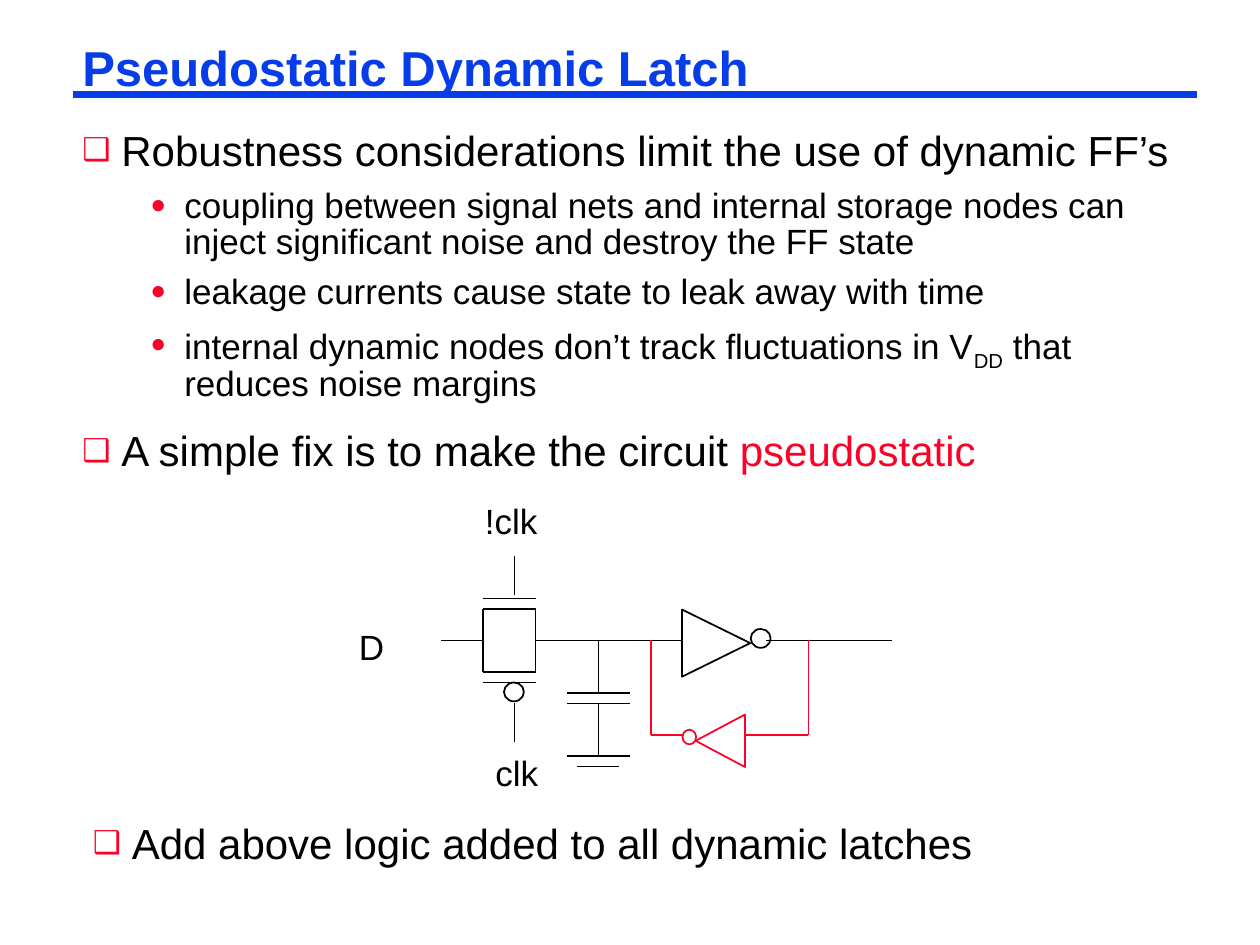
import pptx
import pptx.dml.color
import pptx.enum.shapes
import pptx.enum.text
import pptx.oxml
import pptx.oxml.ns
import pptx.util

BLUE = pptx.dml.color.RGBColor(0x06, 0x3D, 0xE8)
RED = pptx.dml.color.RGBColor(0xFC, 0x01, 0x28)
BLACK = pptx.dml.color.RGBColor(0, 0, 0)
GRID = pptx.util.Inches(1) / 12  # the slide is 120 columns by 90 rows


def cells(*counts):
    return [round(count * GRID) for count in counts]


def write(paragraph, text, size=20, color=BLACK, bold=False, baseline=0):
    run = paragraph.add_run()
    run.text = text
    run.font.name = "Arial"
    run.font.size = pptx.util.Pt(size)
    run.font.bold = bold
    run.font.color.rgb = color
    if baseline:
        run.font._element.set("baseline", str(baseline * 1000))


presentation = pptx.Presentation()
presentation.slide_width, presentation.slide_height = cells(120, 90)
slide = presentation.slides.add_slide(presentation.slide_layouts[6])

# Lines: start column and row, end column and row, colour, width
lines = [(7, 9, 114, 9, BLUE, 4.5)]  # rule under the title
lines += [(*ends, BLACK, 1) for ends in (
    # Transmission gate
    (55, 61, 51, 61), (46, 61, 42, 61),
    (51, 65, 46, 65), (51, 57, 46, 57),
    (46, 58, 46, 64), (51, 58, 51, 64),
    (51, 58, 46, 58), (51, 64, 46, 64),
    (49, 70.7, 49, 67), (49, 56.7, 49, 53),
    # Storage node, capacitor and ground
    (54, 61, 65, 61), (57, 61, 57, 66),
    (54, 66, 60, 66), (54, 67, 60, 67),
    (57, 67, 57, 72), (54, 72, 60, 72), (55, 73, 59, 73),
    # Output
    (73, 61, 85, 61),
)]
lines += [(*ends, RED, 1) for ends in (
    # Feedback loop
    (77, 61, 77, 70), (77, 70, 71, 70), (65, 70, 62, 70), (62, 70, 62, 61),
)]
for *ends, color, width in lines:
    connector = slide.shapes.add_connector(
        pptx.enum.shapes.MSO_CONNECTOR.STRAIGHT, *cells(*ends))
    connector.line.color.rgb = color
    connector.line.width = pptx.util.Pt(width)
    connector._element.spPr.append(pptx.oxml.parse_xml(
        f'<a:effectLst {pptx.oxml.ns.nsdecls("a")}/>'))

# Inverters and the bubble of the lower gate
TRIANGLE = pptx.enum.shapes.MSO_SHAPE.ISOSCELES_TRIANGLE
OVAL = pptx.enum.shapes.MSO_SHAPE.OVAL
for kind, position, rotation, color in (
    (OVAL, (48, 65, 1.9, 1.8), 0, BLACK),
    (TRIANGLE, (65, 58, 6.4, 6.5), 90, BLACK),
    (OVAL, (71.5, 59.9, 1.9, 1.8), 0, BLACK),
    (TRIANGLE, (66.1, 68.2, 5, 4.7), 270, RED),
    (OVAL, (65, 69.5, 1.3, 1.4), 0, RED),
):
    shape = slide.shapes.add_shape(kind, *cells(*position))
    shape.rotation = rotation
    shape.shadow.inherit = False
    shape.fill.background()
    shape.line.color.rgb = color
    shape.line.width = pptx.util.Pt(1)

# Paragraph styles: level, indent in inches, bullet, line spacing, space before
STYLES = {
    "title": (0, 0, None, 0.87, 0),
    "label": (0, 0, None, 1, 0),
    "main": (0, (0.31, 0.31), "❑", 0.9, 15.6),
    "sub": (1, (0.81, 0.27), "●", 0.85, 8.5),
}
MAIN = {"size": 24}
SUB = {"size": 20}

# Text boxes: position, then paragraphs as a style and its runs
boxes = [
    ((7, 4, 107, 5.5), [
        ("title", [("Pseudostatic Dynamic Latch", {"size": 28, "color": BLUE, "bold": True})]),
    ]),
    ((7, 12, 107, 34.2), [
        ("main", [("Robustness considerations limit the use of dynamic FF’s", MAIN)]),
        ("sub", [("coupling between signal nets and internal storage nodes can "
                  "inject significant noise and destroy the FF state", SUB)]),
        ("sub", [("leakage currents cause state to leak away with time", SUB)]),
        ("sub", [("internal dynamic nodes don’t track fluctuations in V", SUB),
                 ("DD", {"baseline": -25}),
                 (" that reduces noise margins", SUB)]),
        ("main", [("A simple fix is to make the circuit ", MAIN),
                  ("pseudostatic", {"size": 24, "color": RED})]),
    ]),
    ((33, 59, 4.8, 5.2), [("label", [("D", SUB)])]),
    ((45, 47, 7.4, 5.2), [("label", [("!clk", SUB)])]),
    ((46, 71, 6.5, 5.2), [("label", [("clk", SUB)])]),
    ((8, 78, 107, 5), [("main", [("Add above logic added to all dynamic latches", MAIN)])]),
]
for position, paragraphs in boxes:
    frame = slide.shapes.add_textbox(*cells(*position)).text_frame
    is_label = paragraphs[0][0] == "label"
    frame.word_wrap = not is_label
    frame.vertical_anchor = pptx.enum.text.MSO_ANCHOR.TOP
    if not is_label:
        frame.margin_left = frame.margin_right = pptx.util.Inches(0.07)
        frame.margin_top = frame.margin_bottom = pptx.util.Inches(0.03)
    for index, (style, runs) in enumerate(paragraphs):
        level, indent, bullet, line_spacing, space_before = STYLES[style]
        paragraph = frame.add_paragraph() if index else frame.paragraphs[0]
        paragraph.level = level
        if bullet:
            properties = paragraph._p.get_or_add_pPr()
            margin, hanging = indent
            properties.set("marL", str(pptx.util.Inches(margin)))
            properties.set("indent", str(-pptx.util.Inches(hanging)))
            for tag in (
                f'<a:buClr {{}}><a:srgbClr val="{RED}"/></a:buClr>',
                '<a:buSzPct {} val="75000"/>',
                '<a:buFont {} typeface="Arial"/>',
                f'<a:buChar {{}} char="{bullet}"/>',
            ):
                properties.append(pptx.oxml.parse_xml(tag.format(pptx.oxml.ns.nsdecls("a"))))
        paragraph.line_spacing = line_spacing
        paragraph.space_before = pptx.util.Pt(space_before if index else 0)
        for text, look in runs:
            write(paragraph, text, **look)

presentation.save("out.pptx")
